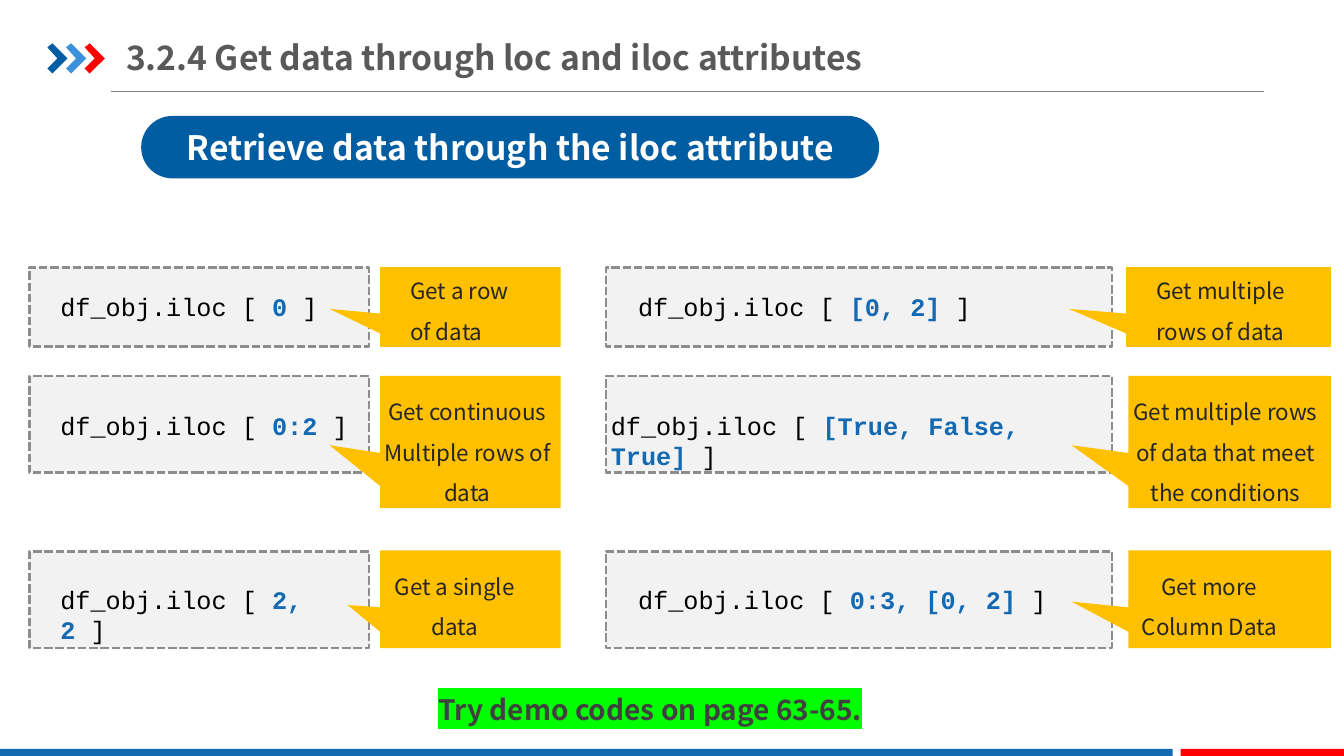
from lxml import etree
from pptx import Presentation
from pptx.dml.color import RGBColor
from pptx.enum.dml import MSO_LINE
from pptx.enum.shapes import MSO_CONNECTOR, MSO_SHAPE
from pptx.enum.text import MSO_ANCHOR, PP_ALIGN
from pptx.oxml.ns import qn
from pptx.util import Inches, Pt

NAVY = RGBColor(0x00, 0x5D, 0xA2)
SKY = RGBColor(0x39, 0x92, 0xDB)
BLUE = RGBColor(0x13, 0x69, 0xB2)
RED = RGBColor(0xFF, 0x00, 0x00)
AMBER = RGBColor(0xFF, 0xC0, 0x00)
LIME = RGBColor(0x00, 0xFF, 0x00)
WHITE = RGBColor(0xFF, 0xFF, 0xFF)
BLACK = RGBColor(0x00, 0x00, 0x00)
PANEL = RGBColor(0xF2, 0xF2, 0xF2)
PANEL_EDGE = RGBColor(0x8D, 0x8D, 0x8D)
RULE = RGBColor(0x80, 0x80, 0x80)
TITLE = RGBColor(0x59, 0x59, 0x59)
NOTE = RGBColor(0x26, 0x26, 0x26)
HINT = RGBColor(0x40, 0x40, 0x40)

SANS = "Noto Sans CJK SC"
MONO = "Courier New"

PANEL_COLUMNS = [(0.29, 3.37), (6.01, 5.02)]  # left, width
PANEL_ROWS = [(2.65, 0.79, 2.84), (3.73, 0.96, 4.02), (5.47, 0.96, 5.75)]  # top, height, code top

# row, column, code text left and width, selector
CODES = [
    (0, 0, 0.5, 3.08, "0 "),
    (0, 1, 6.23, 4.81, "[0, 2] "),
    (1, 0, 0.5, 3.08, "0:2 "),
    (1, 1, 5.96, 5.39, "[True, False, True] "),
    (2, 0, 0.5, 3.08, "2, 2 "),
    (2, 1, 6.23, 4.96, "0:3, [0, 2] "),
]

WIDE_TIP = (-0.78, 0.025)
NEAR_TIP = (-0.68, 0.06)
LEFT, CENTER = PP_ALIGN.LEFT, PP_ALIGN.CENTER

# callout area, pointer tip, text area, alignment, paragraphs
CALLOUTS = [
    ((3.77, 2.65, 1.79, 0.79), WIDE_TIP, (3.97, 2.57, 1.35, 0.86), LEFT, ["Get a row of data"]),
    ((11.17, 2.65, 2.03, 0.79), WIDE_TIP, (11.37, 2.57, 1.52, 0.86), LEFT,
     ["Get multiple rows of data"]),
    ((3.77, 3.73, 1.79, 1.31), WIDE_TIP, (3.7, 3.77, 1.87, 1.27), CENTER,
     ["Get continuous", "Multiple rows of data"]),
    ((11.19, 3.73, 2.01, 1.31), WIDE_TIP, (11.11, 3.77, 2.09, 1.27), CENTER,
     ["Get multiple rows of data that meet the conditions"]),
    ((3.77, 5.46, 1.79, 0.97), NEAR_TIP, (3.7, 5.5, 1.62, 0.86), CENTER,
     ["Get a single", "data"]),
    ((11.19, 5.46, 2.01, 0.97), WIDE_TIP, (11.11, 5.5, 1.77, 0.86), CENTER,
     ["Get more", "Column Data"]),
]


def paint(shape, fill):
    shape.shadow.inherit = False
    shape.fill.solid()
    shape.fill.fore_color.rgb = fill
    shape.line.fill.background()


def add_block(page, kind, area, fill, adjustments=()):
    block = page.shapes.add_shape(kind, *map(Inches, area))
    paint(block, fill)
    for index, value in enumerate(adjustments):
        block.adjustments[index] = value
    return block


def add_span(para, text, size, color, font=SANS, bold=False):
    span = para.add_run()
    span.text = text
    span.font.size = Pt(size)
    span.font.name = font
    span.font.bold = bold
    span.font.color.rgb = color
    return span


def add_text_box(page, area):
    box = page.shapes.add_textbox(*map(Inches, area))
    box.text_frame.word_wrap = True
    return box.text_frame


def highlight(span, color):
    fill = span.font._element.find(qn("a:solidFill"))
    mark = etree.Element(qn("a:highlight"))
    etree.SubElement(mark, qn("a:srgbClr")).set("val", str(color))
    fill.addnext(mark)


def add_chevron(page, left, color):
    top = 0.43
    points = [(0, 0.04), (0.05, 0), (0.2, 0.15), (0.05, 0.3), (0, 0.25), (0.1, 0.15)]
    corners = [(Inches(left + x), Inches(top + y)) for x, y in points]
    outline = page.shapes.build_freeform(*corners[0])
    outline.add_line_segments(corners[1:], close=True)
    paint(outline.convert_to_shape(), color)


def add_header(page):
    rule = page.shapes.add_connector(
        MSO_CONNECTOR.STRAIGHT, Inches(1.1), Inches(0.91), Inches(12.54), Inches(0.91))
    rule.line.color.rgb = RULE
    rule.line.width = Pt(0.75)
    etree.SubElement(rule._element.spPr, qn("a:effectLst"))
    for index, color in enumerate((NAVY, SKY, RED)):
        add_chevron(page, 0.47 + 0.185 * index, color)
    frame = add_text_box(page, (1.25, 0.29, 8.49, 0.55))
    frame.vertical_anchor = MSO_ANCHOR.MIDDLE
    frame.margin_left = frame.margin_right = 0
    frame.margin_top = frame.margin_bottom = Inches(0.07)
    add_span(frame.paragraphs[0], "3.2.4 Get data through loc and iloc attributes",
             24, TITLE, bold=True)


def add_banner(page, text):
    banner = add_block(page, MSO_SHAPE.ROUNDED_RECTANGLE, (1.4, 1.15, 7.32, 0.62), NAVY, [0.5])
    banner.text_frame.vertical_anchor = MSO_ANCHOR.MIDDLE
    para = banner.text_frame.paragraphs[0]
    para.alignment = CENTER
    add_span(para, text, 24, WHITE, bold=True)


def add_code(page, row, column, text_left, text_width, selector):
    left, width = PANEL_COLUMNS[column]
    top, height, text_top = PANEL_ROWS[row]
    panel = add_block(page, MSO_SHAPE.RECTANGLE, (left, top, width, height), PANEL)
    panel.line.color.rgb = PANEL_EDGE
    panel.line.width = Pt(2)
    panel.line.dash_style = MSO_LINE.SQUARE_DOT
    para = add_text_box(page, (text_left, text_top, text_width, 0.4)).paragraphs[0]
    add_span(para, "df_obj.iloc [ ", 18, BLACK, MONO)
    add_span(para, selector, 18, BLUE, MONO, bold=True)
    add_span(para, "]", 18, BLACK, MONO)


def add_callout(page, area, tip, text_area, alignment, lines):
    add_block(page, MSO_SHAPE.RECTANGULAR_CALLOUT, area, AMBER, tip)
    frame = add_text_box(page, text_area)
    for index, line in enumerate(lines):
        para = frame.add_paragraph() if index else frame.paragraphs[0]
        para.alignment = alignment
        para.line_spacing = 1.5
        add_span(para, line, 16, NOTE)


def add_hint(page, text):
    para = add_text_box(page, (3.3, 6.82, 6.3, 0.44)).paragraphs[0]
    para.alignment = CENTER
    highlight(add_span(para, text, 20, HINT, bold=True), LIME)


def main():
    deck = Presentation()
    deck.slide_width, deck.slide_height = Inches(13.33), Inches(7.5)
    page = deck.slides.add_slide(deck.slide_layouts[6])

    # Header and footer bars
    add_header(page)
    add_block(page, MSO_SHAPE.RECTANGLE, (0, 7.43, 11.63, 0.07), BLUE)
    add_block(page, MSO_SHAPE.RECTANGLE, (11.71, 7.43, 1.62, 0.07), RED)

    # Code panels with their explanations
    for code in CODES:
        add_code(page, *code)
    for callout in CALLOUTS:
        add_callout(page, *callout)

    # Section banner and closing hint
    add_banner(page, "Retrieve data through the iloc attribute")
    add_hint(page, "Try demo codes on page 63-65.")

    deck.save("out.pptx")


if __name__ == "__main__":
    main()
